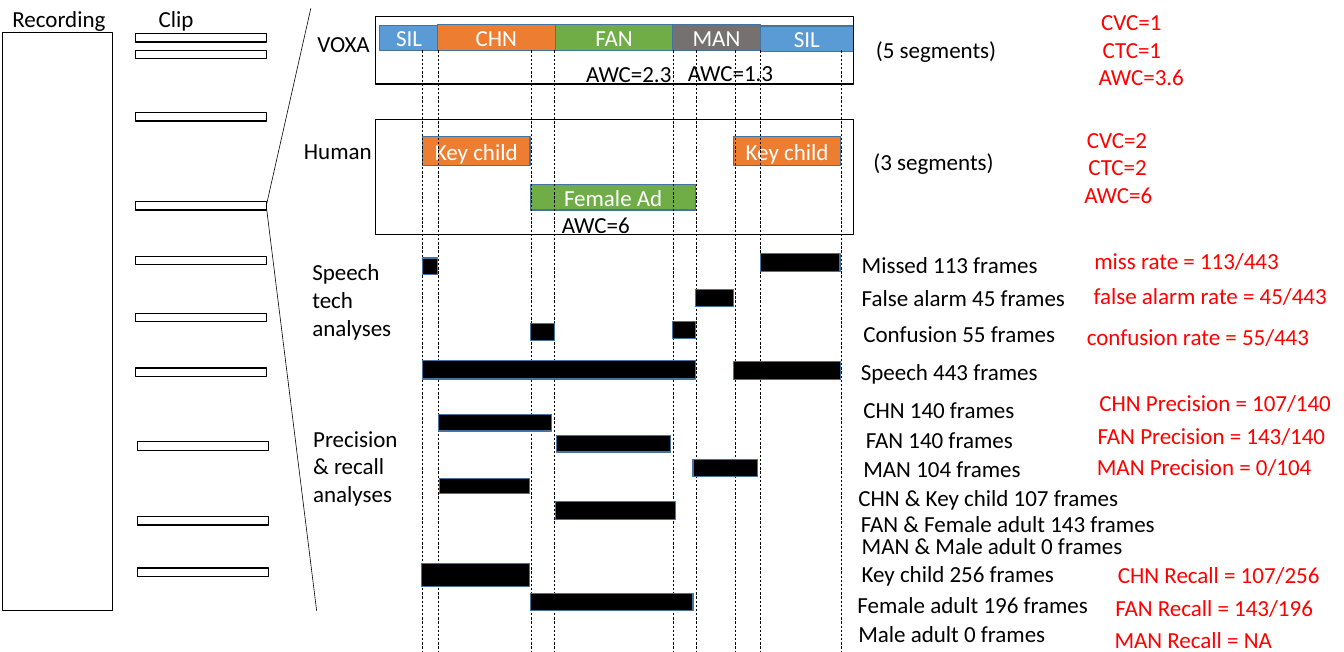
from typing import NamedTuple, Optional

from lxml.etree import SubElement
from pptx import Presentation
from pptx.dml.color import RGBColor
from pptx.enum.dml import MSO_LINE_DASH_STYLE as DASH
from pptx.enum.shapes import MSO_CONNECTOR, MSO_SHAPE
from pptx.enum.text import MSO_ANCHOR, MSO_AUTO_SIZE, PP_ALIGN
from pptx.oxml.ns import qn
from pptx.util import Inches, Pt

COLORS = {
    "black": "000000", "white": "FFFFFF", "red": "FF0000", "edge": "43739E",
    "blue": "5B9BD5", "orange": "ED7D31", "green": "70AD47", "gray": "767171",
}
FONT, SIZE = "Calibri", 19.7
WIDTH, HEIGHT = 16, 7.76


class Box(NamedTuple):
    left: float
    top: float
    width: float
    height: float
    fill: Optional[str] = None
    text: str = ""


class Label(NamedTuple):
    left: float
    top: float
    width: float
    text: str
    color: str = "black"


class Line(NamedTuple):
    x1: float
    y1: float
    x2: float
    y2: float
    dashed: bool = False


prs = Presentation()
prs.slide_width, prs.slide_height = Inches(WIDTH), Inches(HEIGHT)
slide = prs.slides.add_slide(prs.slide_layouts[6])


def rgb(name: str) -> RGBColor:
    return RGBColor.from_string(COLORS[name])


def set_text(tf, text: str, color: str) -> None:
    tf.text = text
    for r in tf.paragraphs[0].runs:
        r.font.name = FONT
        r.font.size = Pt(SIZE)
        r.font.color.rgb = rgb(color)


def draw_box(box: Box) -> None:
    sp = slide.shapes.add_shape(MSO_SHAPE.RECTANGLE, *map(Inches, box[:4]))
    sp.shadow.inherit = False
    sp.line.width = Pt(1)
    sp.line.color.rgb = rgb("edge" if box.fill else "black")
    if box.fill:
        sp.fill.solid()
        sp.fill.fore_color.rgb = rgb(box.fill)
    else:
        sp.fill.background()
    if box.text:
        tf = sp.text_frame
        set_text(tf, box.text, "white")
        tf.vertical_anchor = MSO_ANCHOR.MIDDLE
        tf.paragraphs[0].alignment = PP_ALIGN.CENTER


def draw_label(label: Label) -> None:
    width = min(label.width, WIDTH - label.left)
    sp = slide.shapes.add_textbox(
        Inches(label.left), Inches(label.top), Inches(width), Inches(0.43))
    tf = sp.text_frame
    tf.word_wrap = True
    tf.auto_size = MSO_AUTO_SIZE.SHAPE_TO_FIT_TEXT
    set_text(tf, label.text, label.color)


def draw_line(line: Line) -> None:
    cx = slide.shapes.add_connector(
        MSO_CONNECTOR.STRAIGHT, *map(Inches, line[:4]))
    cx.line.width = Pt(0.5)
    cx.line.color.rgb = rgb("black")
    if line.dashed:
        cx.line.dash_style = DASH.DASH
    SubElement(cx._element.spPr, qn("a:effectLst"))


recording = Box(0.03, 0.39, 1.31, 6.88)
clips = [Box(1.61, y, 1.56, 0.1) for y in (0.4, 0.6, 1.34, 2.4, 3.05, 3.73, 4.38)]
clips += [Box(1.64, y, 1.56, 0.1) for y in (5.26, 6.15, 6.76)]

segments = [
    Box(4.52, 0.3, 0.7, 0.3, "blue", "SIL"),
    Box(5.21, 0.29, 1.4, 0.31, "orange", "CHN"),
    Box(6.61, 0.29, 1.4, 0.31, "green", "FAN"),
    Box(8.01, 0.29, 1.04, 0.31, "gray", "MAN"),
    Box(9.05, 0.31, 1.11, 0.3, "blue", "SIL"),
    Box(5.03, 1.62, 1.28, 0.35, "orange", "Key child"),
    Box(6.32, 2.2, 1.96, 0.3, "green", "Female Ad"),
    Box(8.73, 1.62, 1.28, 0.35, "orange", "Key child"),
]
frames = [Box(4.47, 0.2, 5.69, 0.8), Box(4.47, 1.42, 5.69, 1.37)]

guides = [Line(x, 0.6, x, HEIGHT, True)
          for x in (5.03, 5.22, 6.32, 6.6, 8.01, 8.29, 8.75, 9.05, 10.01)]
zoom_lines = [Line(3.17, 2.45, 3.7, 0.1), Line(3.17, 2.45, 3.77, 7.27)]

bars = [Box(*place, "black") for place in (
    (5.03, 3.07, 0.18, 0.2), (9.05, 3.02, 0.95, 0.21),
    (8.28, 3.45, 0.45, 0.2),
    (6.32, 3.85, 0.28, 0.2), (8.01, 3.83, 0.27, 0.2),
    (5.03, 4.29, 3.25, 0.22), (8.73, 4.3, 1.28, 0.22),
    (5.22, 4.93, 1.35, 0.2), (6.63, 5.18, 1.35, 0.2), (8.25, 5.47, 0.77, 0.2),
    (5.23, 5.7, 1.07, 0.17), (6.61, 5.97, 1.43, 0.21),
    (5.02, 6.71, 1.28, 0.27), (6.32, 7.06, 1.93, 0.21),
)]

labels = [
    Label(0.05, 0, 1.54, "Recording"),
    Label(1.79, 0.01, 1.54, "Clip"),
    Label(3.68, 0.3, 0.84, "VOXA"),
    Label(3.52, 1.57, 1.24, "Human"),
    Label(3.62, 3.02, 1.14, "Speech tech analyses"),
    Label(3.63, 5, 1.21, "Precision & recall analyses"),
    Label(6.88, 0.66, 1.4, "AWC=2.3"),
    Label(8.09, 0.65, 1.4, "AWC=1.3"),
    Label(6.59, 2.46, 1.4, "AWC=6"),
    Label(10.33, 0.37, 1.69, "(5 segments)"),
    Label(10.3, 1.71, 1.82, "(3 segments)"),
]
labels += [Label(x, y, 3.9, text) for x, y, text in (
    (10.16, 2.93, "Missed 113 frames"),
    (10.16, 3.32, "False alarm 45 frames"),
    (10.18, 3.75, "Confusion 55 frames"),
    (10.15, 4.21, "Speech 443 frames"),
    (10.18, 4.66, "CHN 140 frames"),
    (10.21, 5.01, "FAN 140 frames"),
    (10.18, 5.36, "MAN 104 frames"),
    (10.12, 5.7, "CHN & Key child 107 frames"),
    (10.15, 6.01, "FAN & Female adult 143 frames"),
    (10.16, 6.28, "MAN & Male adult 0 frames"),
    (10.16, 6.61, "Key child 256 frames"),
    (10.11, 6.98, "Female adult 196 frames"),
    (10.12, 7.33, "Male adult 0 frames"),
)]
labels += [Label(x, y, 3.3, text, "red") for x, y, text in (
    (13.01, 0.04, "CVC=1"),
    (13.03, 0.37, "CTC=1"),
    (12.98, 0.7, "AWC=3.6"),
    (12.84, 1.44, "CVC=2"),
    (12.86, 1.77, "CTC=2"),
    (12.81, 2.1, "AWC=6"),
    (12.93, 2.88, "miss rate = 113/443"),
    (12.92, 3.3, "false alarm rate = 45/443"),
    (12.84, 3.79, "confusion rate = 55/443"),
    (12.99, 4.57, "CHN Precision = 107/140"),
    (12.97, 4.97, "FAN Precision = 143/140"),
    (12.96, 5.34, "MAN Precision = 0/104"),
    (13.21, 6.62, "CHN Recall = 107/256"),
    (13.18, 7.02, "FAN Recall = 143/196"),
    (13.17, 7.4, "MAN Recall = NA"),
)]

for box in [recording, *clips, *segments, *frames]:
    draw_box(box)
for line in guides + zoom_lines:
    draw_line(line)
for bar in bars:
    draw_box(bar)
for label in labels:
    draw_label(label)

prs.save("out.pptx")
